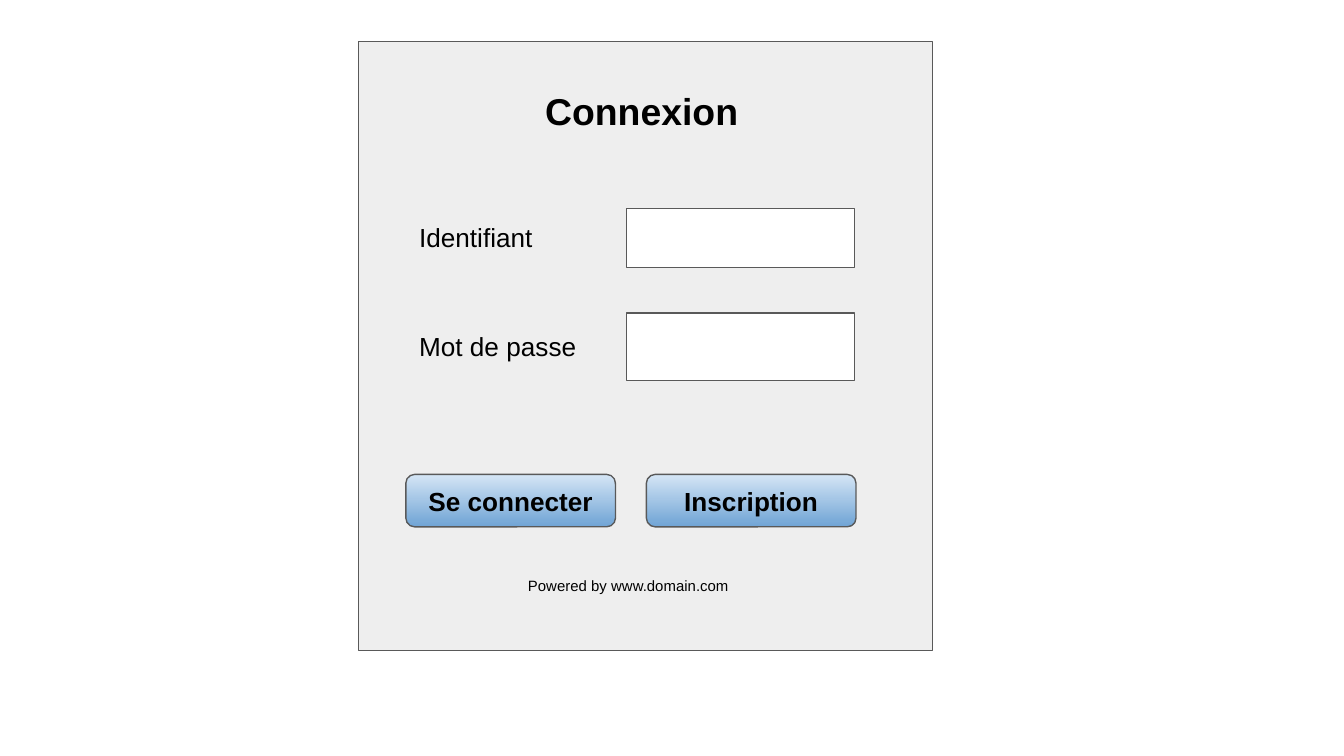
from pptx import Presentation
from pptx.dml.color import RGBColor
from pptx.enum.shapes import MSO_SHAPE as SHAPE
from pptx.enum.text import MSO_ANCHOR as ANCHOR, MSO_AUTO_SIZE as AUTO, PP_ALIGN as ALIGN
from pptx.util import Inches, Pt

BLACK = RGBColor(0x00, 0x00, 0x00)
WHITE = RGBColor(0xFF, 0xFF, 0xFF)
PANEL_GREY = RGBColor(0xEE, 0xEE, 0xEE)
LINE_GREY = RGBColor(0x59, 0x59, 0x59)
LIGHT_BLUE = RGBColor(0xD4, 0xE5, 0xF5)
MID_BLUE = RGBColor(0x70, 0xA4, 0xD5)

SLIDE_WIDTH = Inches(10)
SLIDE_HEIGHT = SLIDE_WIDTH * 9 // 16
LABEL_LEFT = 3.02
FIELD_LEFT = 4.66
FIELD_WIDTH = 1.7
BUTTON_TOP = 3.53
BUTTON_WIDTH = 1.56


def set_attrs(obj, values):
    for name, value in values.items():
        setattr(obj, name, value)


def write_text(sp, text, size, bold=False, align=ALIGN.LEFT, **frame):
    tf = sp.text_frame
    margins = {f"margin_{side}": Inches(0.1) for side in ("left", "top", "right", "bottom")}
    set_attrs(tf, {"word_wrap": True, **margins, **frame})
    p = tf.paragraphs[0]
    p.alignment = align
    r = p.add_run()
    r.text = text
    set_attrs(r.font, {"name": "Arial", "size": Pt(size), "bold": bold})
    r.font.color.rgb = BLACK


def add_outlined(s, kind, box):
    sp = s.shapes.add_shape(kind, *map(Inches, box))
    sp.shadow.inherit = False
    sp.line.color.rgb = LINE_GREY
    sp.line.width = Pt(0.75)
    return sp


def add_box(s, box, color):
    sp = add_outlined(s, SHAPE.RECTANGLE, box)
    sp.fill.solid()
    sp.fill.fore_color.rgb = color


def add_button(s, left, text):
    sp = add_outlined(s, SHAPE.ROUNDED_RECTANGLE, (left, BUTTON_TOP, BUTTON_WIDTH, 0.39))
    sp.fill.gradient()
    sp.fill.gradient_angle = 270
    for position, (stop, color) in enumerate(zip(sp.fill.gradient_stops, (LIGHT_BLUE, MID_BLUE))):
        stop.color.rgb = color
        stop.position = position
    write_text(sp, text, 14, True, ALIGN.CENTER, vertical_anchor=ANCHOR.MIDDLE)


def add_label(s, box, text, size, bold=False, align=ALIGN.LEFT):
    sp = s.shapes.add_textbox(*map(Inches, box))
    write_text(sp, text, size, bold, align, auto_size=AUTO.SHAPE_TO_FIT_TEXT)


def main():
    prs = Presentation()
    set_attrs(prs, {"slide_width": SLIDE_WIDTH, "slide_height": SLIDE_HEIGHT})
    s = prs.slides.add_slide(prs.slide_layouts[6])

    add_box(s, (2.67, 0.31, 4.27, 4.53), PANEL_GREY)
    add_label(s, (3.19, 0.56, 3.17, 0.54), "Connexion", 20, True, ALIGN.CENTER)

    fields = (
        ("Identifiant", 1.55, 1.4, 1.55, 0.44),
        ("Mot de passe", 2.36, 1.46, 2.33, 0.5),
    )
    for text, label_top, label_width, field_top, field_height in fields:
        add_box(s, (FIELD_LEFT, field_top, FIELD_WIDTH, field_height), WHITE)
        add_label(s, (LABEL_LEFT, label_top, label_width, 0.44), text, 14)

    for left, text in ((LABEL_LEFT, "Se connecter"), (4.81, "Inscription")):
        add_button(s, left, text)

    add_label(s, (3.83, 4.22, 1.94, 0.34), "Powered by www.domain.com", 8)
    prs.save("out.pptx")


main()
